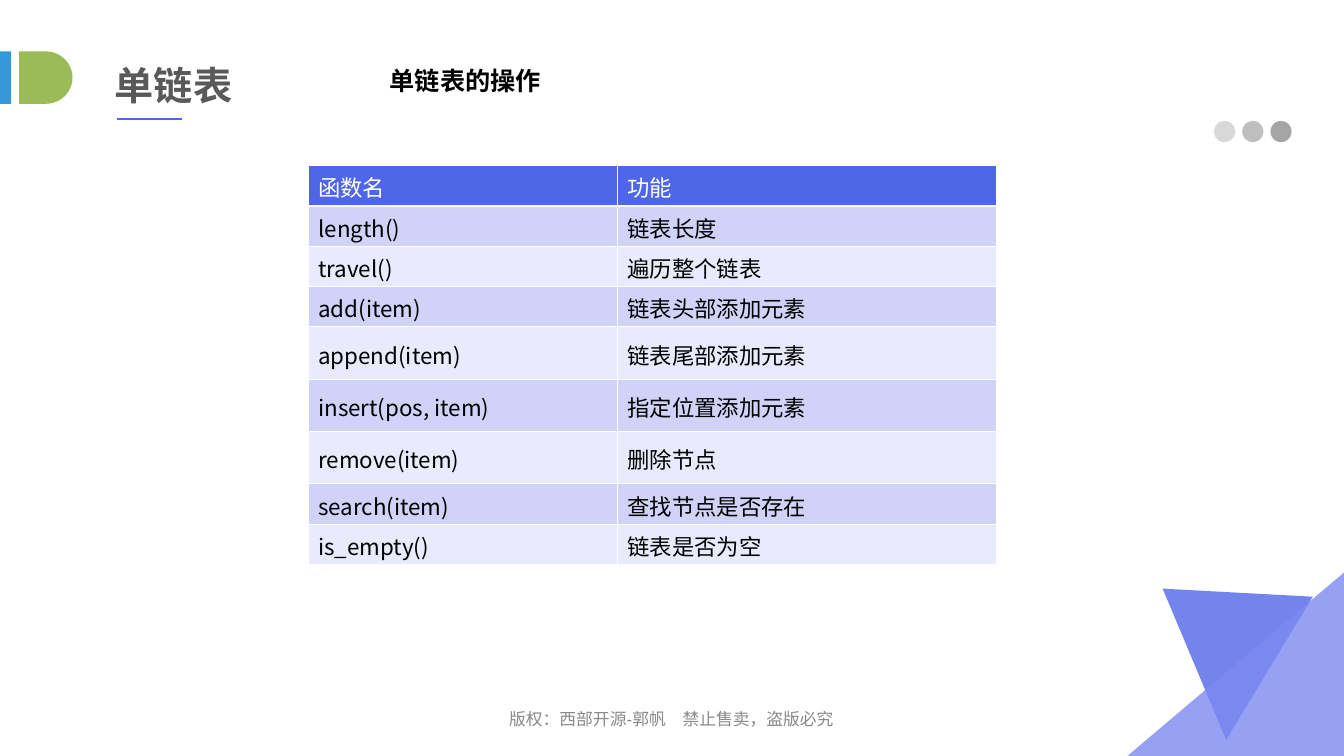
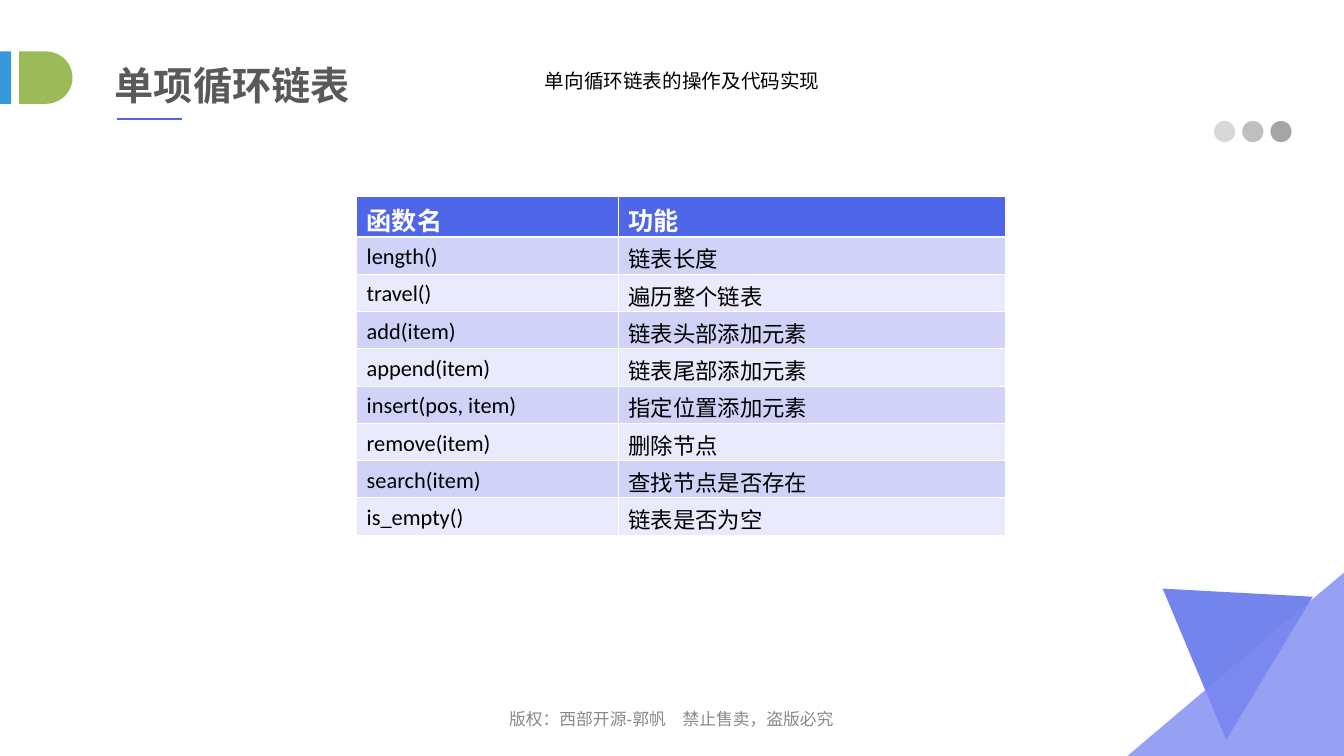
from pptx import Presentation
from pptx import util as u
from pptx.dml.color import RGBColor
from pptx.enum import shapes as sh, text as tx
from pptx.oxml import parse_xml
from pptx.oxml.ns import nsdecls, qn
from lxml import etree

CJK = "Noto Sans CJK SC"
THEME = {
    "blue": "5066E9", "pale": "7E8AF1", "sky": "3498DB", "green": "9BBB59",
    "dots": ["D8D8D8", "BFBFBF", "A5A5A5"],
    "bands": ["E9EAFB", "D0D3F7"], "white": "FFFFFF",
    "title": {"size": 28, "name": CJK, "color": "595959", "bold": True},
    "foot": {"size": 12, "name": "Arial", "color": "898989"},
    "thin": 0.45, "thick": 1.47,
}
FOOT = "版权：西部开源-郭帆　禁止售卖，盗版必究"
ROWS = [
    ("函数名", "功能"),
    ("length()", "链表长度"),
    ("travel()", "遍历整个链表"),
    ("add(item)", "链表头部添加元素"),
    ("append(item)", "链表尾部添加元素"),
    ("insert(pos, item)", "指定位置添加元素"),
    ("remove(item)", "删除节点"),
    ("search(item)", "查找节点是否存在"),
    ("is_empty()", "链表是否为空"),
]
PAGES = [
    {
        "title": "单链表", "sub": "单链表的操作", "box": (3.77, 0.6, 5.58, 0.4),
        "font": {"size": 18, "name": "Arial", "color": "000000", "bold": True},
        "at": (3.06, 1.64), "cols": [3.07, 3.76],
        "rows": [0.4] * 4 + [0.52] * 3 + [0.4] * 2,
        "head": {"size": 16, "name": CJK, "color": "FFFFFF", "bold": False},
        "body": {"size": 16, "name": CJK, "color": "000000", "bold": False},
    },
    {
        "title": "单项循环链表", "sub": "单向循环链表的操作及代码实现",
        "box": (5.31, 0.63, 3.34, 0.34),
        "font": {"size": 14, "name": "Arial", "color": "000000"},
        "at": (3.54, 1.95), "cols": [2.6, 3.84],
        "rows": [0.4] + [0.37] * 8,
        "head": {"size": 18, "name": "Arial", "color": "FFFFFF", "bold": True},
        "body": {"size": 16, "name": "Calibri", "color": "000000", "bold": False},
    },
]


def write(frame, words, style):
    """Put one formatted run into a text frame and return its paragraph."""
    par = frame.paragraphs[0]
    run = par.add_run()
    run.text = words
    for key, val in style.items():
        if key == "color":
            run.font.color.rgb = RGBColor.from_string(val)
        else:
            setattr(run.font, key, u.Pt(val) if key == "size" else val)
    if style["name"] == CJK:
        face = etree.Element(qn("a:ea"), typeface=CJK)
        run.font._element.find(qn("a:latin")).addnext(face)
    return par


def paint(shape, color, alpha=None):
    """Give a shape a plain fill without line or shadow."""
    shape.shadow.inherit = False
    shape.line.fill.background()
    shape.fill.solid()
    shape.fill.fore_color.rgb = RGBColor.from_string(color)
    if alpha:
        tone = shape._element.spPr.find(qn("a:solidFill"))[0]
        etree.SubElement(tone, qn("a:alpha"), val=str(alpha * 1000))


prs = Presentation()
prs.slide_width, prs.slide_height = u.Inches(13.34), u.Inches(7.5)

for page in PAGES:
    slide = prs.slides.add_slide(prs.slide_layouts[5])
    parts = slide.shapes

    # Footer
    foot = parts.add_textbox(*map(u.Inches, (4.5, 6.94, 4.33, 0.35))).text_frame
    foot.word_wrap = True
    foot.vertical_anchor = tx.MSO_ANCHOR.MIDDLE
    par = write(foot, FOOT, THEME["foot"])
    par.alignment = tx.PP_ALIGN.CENTER
    par.line_spacing = 1.2

    # Corner triangles
    for color, spots in (
        ("blue", [(13.03, 5.92), (12.17, 7.34), (11.54, 5.84)]),
        ("pale", [(13.34, 7.5), (11.19, 7.5), (13.34, 5.68)]),
    ):
        spots = [(u.Inches(x), u.Inches(y)) for x, y in spots]
        pen = parts.build_freeform(*spots[0])
        pen.add_line_segments(spots[1:], close=True)
        paint(pen.convert_to_shape(), THEME[color], 80)

    # Title, its tabs and its underline
    title = parts.title
    for key, val in zip(("left", "top", "width", "height"), (1.04, 0.52, 4.8, 0.64)):
        setattr(title, key, u.Inches(val))
    frame = title.text_frame
    frame.auto_size = tx.MSO_AUTO_SIZE.NONE
    frame.vertical_anchor = tx.MSO_ANCHOR.MIDDLE
    write(frame, page["title"], THEME["title"]).alignment = tx.PP_ALIGN.LEFT

    for kind, left, width, color in (
        (sh.MSO_SHAPE.RECTANGLE, 0, 0.11, "sky"),
        (sh.MSO_SHAPE.FLOWCHART_DELAY, 0.19, 0.53, "green"),
    ):
        tab = parts.add_shape(kind, *map(u.Inches, (left, 0.51, width, 0.52)))
        paint(tab, THEME[color])

    rule = parts.add_connector(
        sh.MSO_CONNECTOR.STRAIGHT, *map(u.Inches, (1.16, 1.18, 1.81, 1.18)))
    rule.line.color.rgb = RGBColor.from_string(THEME["blue"])
    rule.line.width = u.Pt(1.5)
    etree.SubElement(rule._element.spPr, qn("a:effectLst"))

    # Grey dots
    group = parts.add_group_shape()
    for i, color in enumerate(THEME["dots"]):
        dot = group.shapes.add_shape(
            sh.MSO_SHAPE.OVAL, *map(u.Inches, (12.05 + 0.28 * i, 1.2, 0.21, 0.21)))
        paint(dot, color)

    # Subtitle
    sub = parts.add_textbox(*map(u.Inches, page["box"])).text_frame
    sub.word_wrap = True
    write(sub, page["sub"], page["font"])

    # Function table
    size = (sum(page["cols"]), sum(page["rows"]))
    table = parts.add_table(
        len(ROWS), 2, *map(u.Inches, page["at"] + size)).table
    for col, width in zip(table.columns, page["cols"]):
        col.width = u.Inches(width)
    for r, words in enumerate(ROWS):
        table.rows[r].height = u.Inches(page["rows"][r])
        for c, word in enumerate(words):
            cell = table.cell(r, c)
            cell.margin_top, cell.margin_bottom = u.Inches(0.05), u.Inches(0.02)
            if r:
                cell.vertical_anchor = tx.MSO_ANCHOR.MIDDLE
            write(cell.text_frame, word, page["body" if r else "head"])
            props = cell._tc.get_or_add_tcPr()
            for side in "LRTB":
                heavy = (r, side) in ((0, "B"), (1, "T"))
                width = u.Pt(THEME["thick" if heavy else "thin"])
                props.append(parse_xml(
                    f'<a:ln{side} {nsdecls("a")} w="{int(width)}"><a:solidFill>'
                    f'<a:srgbClr val="{THEME["white"]}"/></a:solidFill></a:ln{side}>'))
            cell.fill.solid()
            shade = THEME["bands"][r % 2] if r else THEME["blue"]
            cell.fill.fore_color.rgb = RGBColor.from_string(shade)

prs.save("out.pptx")
